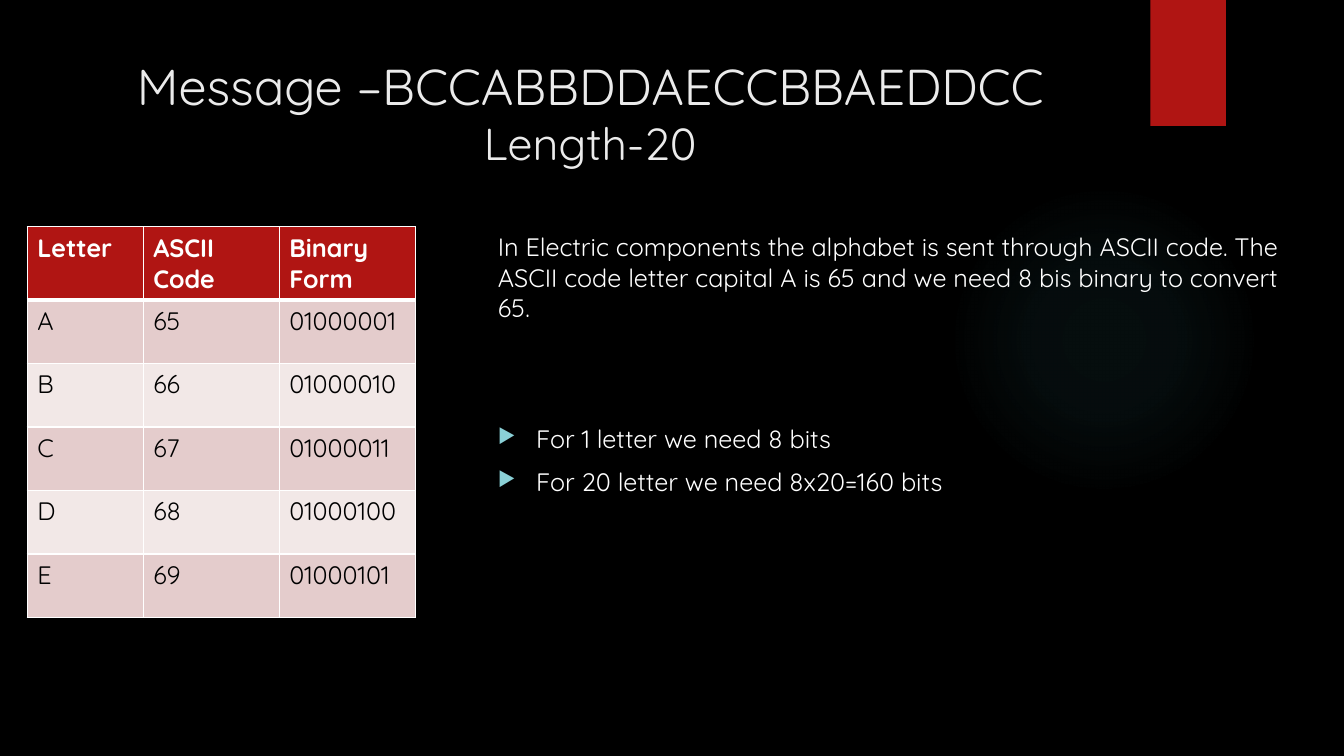
"""Build the slide on the bit length of an ASCII coded message."""
from dataclasses import dataclass

from lxml.etree import SubElement
from pptx import Presentation
from pptx.dml.color import RGBColor
from pptx.enum.shapes import MSO_SHAPE
from pptx.enum.text import MSO_ANCHOR, PP_ALIGN
from pptx.oxml import parse_xml
from pptx.oxml.ns import nsdecls, qn
from pptx.util import Inches, Pt

TITLE = ("Message –BCCABBDDAECCBBAEDDCC", "Length-20")
HEADER = ("Letter", "ASCII Code", "Binary Form")
LETTERS = "ABCDE"
INTRO = ("In Electric components the alphabet is sent through ASCII code. "
         "The ASCII code letter capital A is 65 and we need 8 bis binary to convert 65.")
BULLETS = (("For 1 letter we need 8 bits", 72), ("For 20 letter we need 8x20=160 bits", 9))
COLUMN_WIDTHS = (1.15, 1.35, 1.35)
ROW_HEIGHT = 0.63
GLOW_STOPS = ((0, 7), (36, 6), (69, 0))


@dataclass(frozen=True)
class Theme:
    font: str = "Quicksand"
    background: str = "000000"
    title: str = "EBEBEB"
    light: str = "FFFFFF"
    dark: str = "000000"
    accent: str = "B01513"
    bands: tuple = ("E4CCCC", "F2E8E7")
    glow: str = "50B9C1"
    bullet: str = "8AD0D6"
    title_sizes: tuple = (36, 32)
    body_size: int = 18


THEME = Theme()


def add_run(paragraph, text, size, color, bold=False):
    run = paragraph.add_run()
    run.text = text
    run.font.name = THEME.font
    run.font.size = Pt(size)
    run.font.bold = bold
    run.font.color.rgb = RGBColor.from_string(color)


def add_plain_shape(slide, kind, *box):
    shape = slide.shapes.add_shape(kind, *map(Inches, box))
    shape.shadow.inherit = False
    shape.line.fill.background()
    return shape


def add_decoration(slide):
    glow = add_plain_shape(slide, MSO_SHAPE.OVAL, 9.41, 1.83, 3.08, 3.08)
    stops = "".join(
        f'<a:gs pos="{position * 1000}"><a:srgbClr val="{THEME.glow}">'
        f'<a:alpha val="{alpha * 1000}"/></a:srgbClr></a:gs>'
        for position, alpha in GLOW_STOPS)
    gradient = parse_xml(
        f'<a:gradFill {nsdecls("a")}><a:gsLst>{stops}</a:gsLst><a:path path="circle">'
        '<a:fillToRect l="50000" t="50000" r="50000" b="50000"/></a:path></a:gradFill>')
    glow._element.spPr.find(qn("a:prstGeom")).addnext(gradient)
    ribbon = add_plain_shape(slide, MSO_SHAPE.RECTANGLE, 11.41, 0, 0.75, 1.25)
    ribbon.fill.solid()
    ribbon.fill.fore_color.rgb = RGBColor.from_string(THEME.accent)


def add_title(slide):
    title = slide.shapes.title
    title.left, title.top, title.width, title.height = map(Inches, (0.71, 0.5, 10.29, 1.53))
    title.text_frame.vertical_anchor = MSO_ANCHOR.TOP
    paragraph = title.text_frame.paragraphs[0]
    paragraph.alignment = PP_ALIGN.CENTER
    paragraph.line_spacing = 1.0
    for index, (line, size) in enumerate(zip(TITLE, THEME.title_sizes)):
        if index:
            paragraph.add_line_break()
        add_run(paragraph, line, size, THEME.title)


def format_cell(cell, fill, bottom_width):
    properties = cell._tc.get_or_add_tcPr()
    for side, width in (("L", 1), ("R", 1), ("T", 1), ("B", bottom_width)):
        border = SubElement(properties, qn(f"a:ln{side}"), w=str(Pt(width)))
        SubElement(SubElement(border, qn("a:solidFill")), qn("a:srgbClr"), val=THEME.light)
    cell.fill.solid()
    cell.fill.fore_color.rgb = RGBColor.from_string(fill)


def add_code_table(slide):
    rows = [HEADER] + [(letter, str(ord(letter)), f"{ord(letter):08b}") for letter in LETTERS]
    box = (0.27, 2.25, sum(COLUMN_WIDTHS), ROW_HEIGHT * len(rows))
    table = slide.shapes.add_table(len(rows), len(HEADER), *map(Inches, box)).table
    for column, width in zip(table.columns, COLUMN_WIDTHS):
        column.width = Inches(width)
    for row_index, row in enumerate(rows):
        table.rows[row_index].height = Inches(ROW_HEIGHT)
        is_header = row_index == 0
        fill = THEME.accent if is_header else THEME.bands[(row_index - 1) % 2]
        color = THEME.light if is_header else THEME.dark
        for column_index, text in enumerate(row):
            cell = table.cell(row_index, column_index)
            format_cell(cell, fill, 3 if is_header else 1)
            add_run(cell.text_frame.paragraphs[0], text, THEME.body_size, color, is_header)


def add_explanation(slide):
    frame = slide.shapes.add_textbox(*map(Inches, (4.84, 2.25, 7.99, 4.59))).text_frame
    frame.word_wrap = True
    add_run(frame.paragraphs[0], INTRO, THEME.body_size, THEME.light)
    for text, space_before in BULLETS:
        paragraph = frame.add_paragraph()
        paragraph.space_before = Pt(space_before)
        properties = paragraph._p.get_or_add_pPr()
        properties.set("marL", str(Inches(0.38)))
        properties.set("indent", str(Inches(-0.38)))
        bullet_color = SubElement(properties, qn("a:buClr"))
        SubElement(bullet_color, qn("a:srgbClr"), val=THEME.bullet)
        SubElement(properties, qn("a:buSzPct"), val="80000")
        SubElement(properties, qn("a:buChar"), char="▶")
        add_run(paragraph, text, THEME.body_size, THEME.light)


def main():
    presentation = Presentation()
    presentation.slide_width, presentation.slide_height = Inches(13.33), Inches(7.5)
    slide = presentation.slides.add_slide(presentation.slide_layouts[5])
    slide.background.fill.solid()
    slide.background.fill.fore_color.rgb = RGBColor.from_string(THEME.background)
    add_decoration(slide)
    add_title(slide)
    add_code_table(slide)
    add_explanation(slide)
    presentation.save("out.pptx")


if __name__ == "__main__":
    main()
